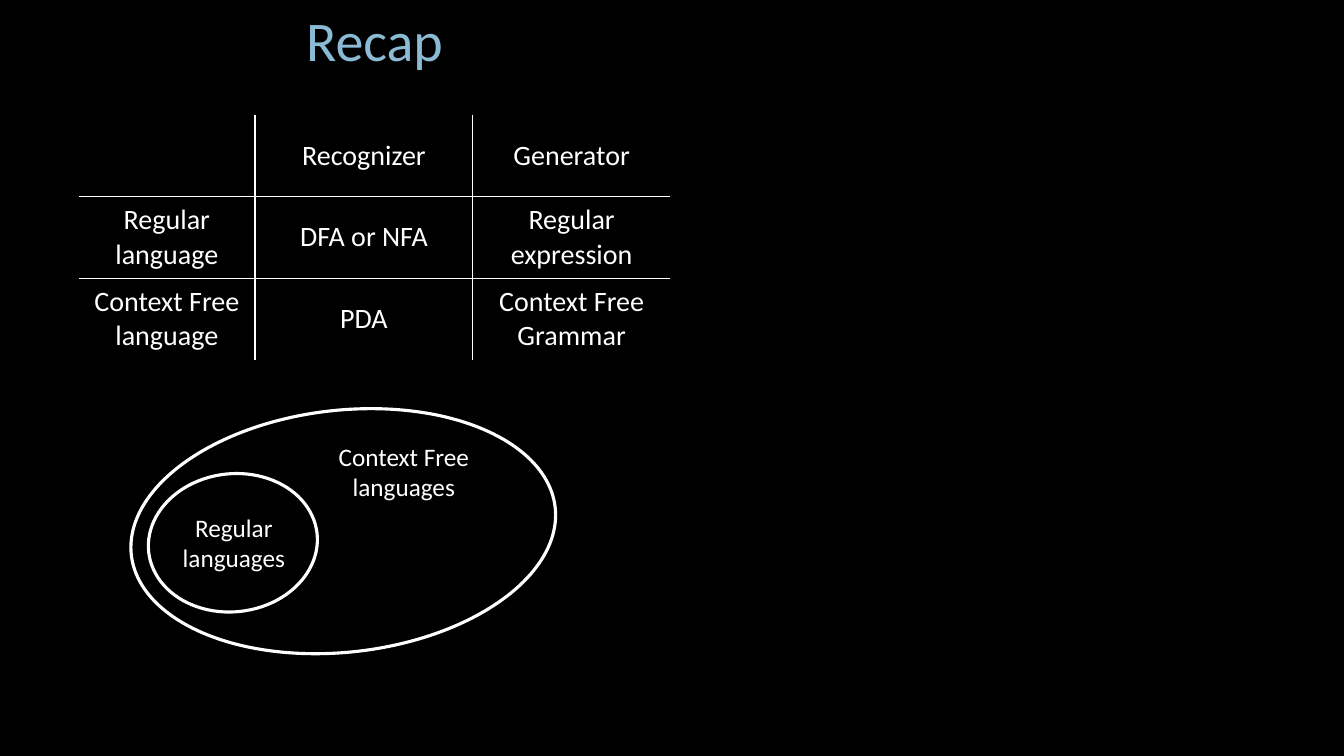
from lxml.etree import SubElement
from pptx import Presentation
from pptx.dml.color import RGBColor
from pptx.enum.shapes import MSO_SHAPE
from pptx.enum.text import MSO_ANCHOR, PP_ALIGN
from pptx.oxml.ns import qn
from pptx.util import Inches, Pt

BLACK = "000000"
WHITE = "FFFFFF"
BLUE = "8ABAD4"
TILT = -6.4
COLUMN_WIDTHS = [1.75, 2.16, 1.96]
ROW_HEIGHT = 0.81
LANGUAGE_ROWS = [
    ["", "Recognizer", "Generator"],
    ["Regular language", "DFA or NFA", "Regular expression"],
    ["Context Free language", "PDA", "Context Free Grammar"],
]


def color(value):
    return RGBColor.from_string(value)


def write_text(text_frame, text, size, font_color=WHITE, anchor=MSO_ANCHOR.TOP):
    text_frame.word_wrap = True
    text_frame.vertical_anchor = anchor
    paragraph = text_frame.paragraphs[0]
    paragraph.text = text
    paragraph.alignment = PP_ALIGN.CENTER
    font_format = {"name": "Calibri", "size": Pt(size), "bold": False}
    for name, value in font_format.items():
        setattr(paragraph.font, name, value)
    paragraph.font.color.rgb = color(font_color)


def add_title(slide, text):
    title = slide.shapes.title
    position = {"left": 1.58, "top": 0, "width": 4.27, "height": 0.77}
    for name, value in position.items():
        setattr(title, name, Inches(value))
    write_text(title.text_frame, text, 40, BLUE)


def set_border(cell, side, visible):
    properties = cell._tc.get_or_add_tcPr()
    line = SubElement(properties, qn(f"a:ln{side}"), w=str(Pt(1)))
    if visible:
        fill = SubElement(line, qn("a:solidFill"))
        SubElement(fill, qn("a:srgbClr"), val=WHITE)
    else:
        SubElement(line, qn("a:noFill"))


def add_language_table(slide, rows):
    row_count, column_count = len(rows), len(COLUMN_WIDTHS)
    table = slide.shapes.add_table(
        row_count, column_count, Inches(0.78), Inches(1.14),
        Inches(sum(COLUMN_WIDTHS)), Inches(ROW_HEIGHT * row_count),
    ).table
    table.first_row = False
    table.horz_banding = False
    for column, width in zip(table.columns, COLUMN_WIDTHS):
        column.width = Inches(width)
    for row_index, row in enumerate(rows):
        for column_index, text in enumerate(row):
            cell = table.cell(row_index, column_index)
            inner_sides = {
                "L": column_index > 0,
                "R": column_index < column_count - 1,
                "T": row_index > 0,
                "B": row_index < row_count - 1,
            }
            for side, visible in inner_sides.items():
                set_border(cell, side, visible)
            cell.fill.background()
            cell.vertical_anchor = MSO_ANCHOR.MIDDLE
            if text:
                write_text(cell.text_frame, text, 20, anchor=MSO_ANCHOR.MIDDLE)


def add_set_outline(shapes, left, top, width, height):
    ellipse = shapes.add_shape(
        MSO_SHAPE.OVAL, Inches(left), Inches(top), Inches(width), Inches(height)
    )
    ellipse.rotation = TILT
    ellipse.shadow.inherit = False
    ellipse.fill.background()
    ellipse.line.color.rgb = color(WHITE)
    ellipse.line.width = Pt(2.25)


def add_set_label(shapes, text, left, top, width):
    label = shapes.add_textbox(
        Inches(left), Inches(top), Inches(width), Inches(0.71)
    )
    write_text(label.text_frame, text, 18)


def add_language_sets(slide):
    shapes = slide.shapes.add_group_shape().shapes
    add_set_outline(shapes, 1.47, 4.7, 1.68, 1.37)
    add_set_outline(shapes, 1.29, 4.07, 4.23, 2.4)
    add_set_label(shapes, "Regular languages", 1.62, 5.03, 1.4)
    add_set_label(shapes, "Context Free languages", 3.23, 4.33, 1.55)


def main():
    presentation = Presentation()
    presentation.slide_width = Inches(13.33)
    presentation.slide_height = Inches(7.5)
    slide = presentation.slides.add_slide(presentation.slide_layouts[5])
    slide.background.fill.solid()
    slide.background.fill.fore_color.rgb = color(BLACK)
    add_title(slide, "Recap")
    add_language_table(slide, LANGUAGE_ROWS)
    add_language_sets(slide)
    presentation.save("out.pptx")


if __name__ == "__main__":
    main()
